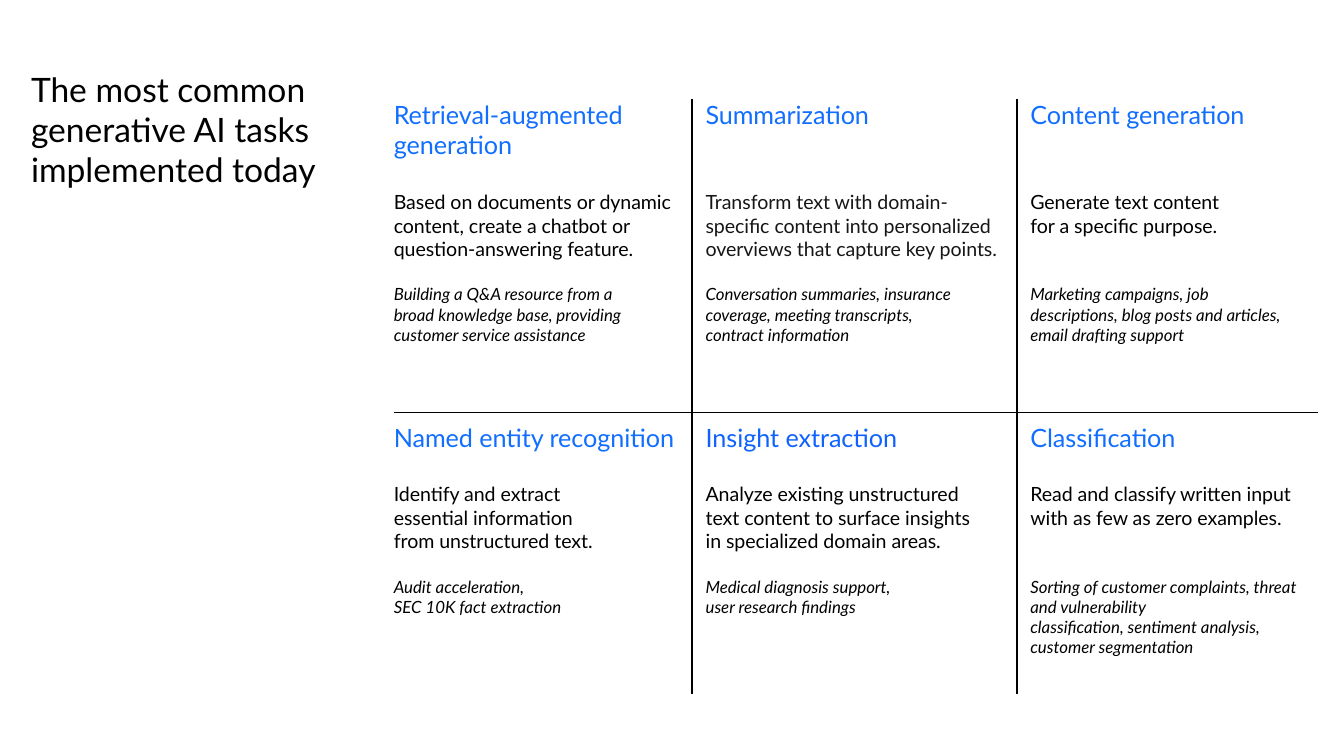
from collections import namedtuple

from pptx import Presentation
from pptx.dml.color import RGBColor
from pptx.enum import shapes, text
from pptx.util import Pt

FONT = "Lato"
BLACK, BLUE, DEEP_BLUE, CHARCOAL = "000000", "116EFF", "0F62FE", "161616"
HEADING_SIZE, BODY_SIZE, EXAMPLE_SIZE = 13.5, 10.5, 9
LINE = 1.2  # line height as a multiple of the font size
COLUMN_LEFTS = (211, 378, 552)
ROWS = ((53.3, 152), (226, 146))  # top, height

# The pads are lines left free so that texts align across a row.
Task = namedtuple(
    "Task", "heading body examples width heading_pad body_pad heading_color body_color",
    defaults=(0, 0, BLUE, BLACK))

TASKS = (
    (
        Task("Retrieval-augmented generation",
             "Based on documents or dynamic content, create a chatbot or "
             "question-answering feature.",
             "Building a Q&A resource from a\nbroad knowledge base, providing "
             "customer service assistance", 155),
        Task("Summarization",
             "Transform text with domain-specific content into personalized "
             "overviews that capture key points.",
             "Conversation summaries, insurance coverage, meeting transcripts,\n"
             "contract information", 161, heading_pad=1, body_color=CHARCOAL),
        Task("Content generation",
             "Generate text content\nfor a specific purpose.",
             "Marketing campaigns, job descriptions, blog posts and articles, "
             "email drafting support", 140, heading_pad=1, body_pad=1),
    ),
    (
        Task("Named entity recognition",
             "Identify and extract\nessential information\nfrom unstructured text.",
             "Audit acceleration,\nSEC 10K fact extraction", 155),
        Task("Insight extraction",
             "Analyze existing unstructured text content to surface insights "
             "in specialized domain areas.",
             "Medical diagnosis support,\nuser research findings", 145,
             heading_color=DEEP_BLUE),
        Task("Classification",
             "Read and classify written input with as few as zero examples.",
             "Sorting of customer complaints, threat and vulnerability\n"
             "classification, sentiment analysis, customer segmentation", 149,
             body_pad=1),
    ),
)


def rgb(value):
    return RGBColor.from_string(value)


def prepare_frame(tf):
    tf.word_wrap = True
    tf.auto_size = text.MSO_AUTO_SIZE.NONE
    tf.vertical_anchor = text.MSO_ANCHOR.TOP
    tf.margin_left = tf.margin_right = tf.margin_top = tf.margin_bottom = 0


def write(p, content, size, color, italic=False, before=0):
    p.text = content
    p.alignment = text.PP_ALIGN.LEFT
    p.line_spacing = 1.0
    p.space_before = Pt(before)
    p.font.name = FONT
    p.font.size = Pt(size)
    p.font.italic = italic
    p.font.color.rgb = rgb(color)


def add_title(s, content):
    sp = s.shapes.title
    sp.left, sp.top, sp.width, sp.height = Pt(16.6), Pt(36.7), Pt(159), Pt(75)
    prepare_frame(sp.text_frame)
    write(sp.text_frame.paragraphs[0], content, 18, BLACK)


def add_task(s, task, left, top, height):
    sp = s.shapes.add_textbox(Pt(left), Pt(top), Pt(task.width), Pt(height))
    tf = sp.text_frame
    prepare_frame(tf)
    write(tf.paragraphs[0], task.heading, HEADING_SIZE, task.heading_color)
    write(tf.add_paragraph(), task.body, BODY_SIZE, task.body_color,
          before=HEADING_SIZE * LINE * (1 + task.heading_pad))
    write(tf.add_paragraph(), task.examples, EXAMPLE_SIZE, BLACK, italic=True,
          before=BODY_SIZE * LINE * (1 + task.body_pad))


def add_rule(s, x1, y1, x2, y2):
    line = s.shapes.add_connector(
        shapes.MSO_CONNECTOR.STRAIGHT, Pt(x1), Pt(y1), Pt(x2), Pt(y2))
    line.line.color.rgb = rgb(BLACK)
    line.line.width = Pt(1)
    props = line._element.spPr
    props.append(props.makeelement(
        "{http://schemas.openxmlformats.org/drawingml/2006/main}effectLst", {}))


def main():
    prs = Presentation()
    prs.slide_width, prs.slide_height = Pt(720), Pt(405)
    s = prs.slides.add_slide(prs.slide_layouts[5])
    add_title(s, "The most common generative AI tasks implemented today")
    for (top, height), row in zip(ROWS, TASKS):
        for left, task in zip(COLUMN_LEFTS, row):
            add_task(s, task, left, top, height)
    for left in COLUMN_LEFTS[1:]:
        add_rule(s, left - 7.2, 53, left - 7.2, 372)
    add_rule(s, COLUMN_LEFTS[0], 221, 706, 221)
    prs.save("out.pptx")


if __name__ == "__main__":
    main()
